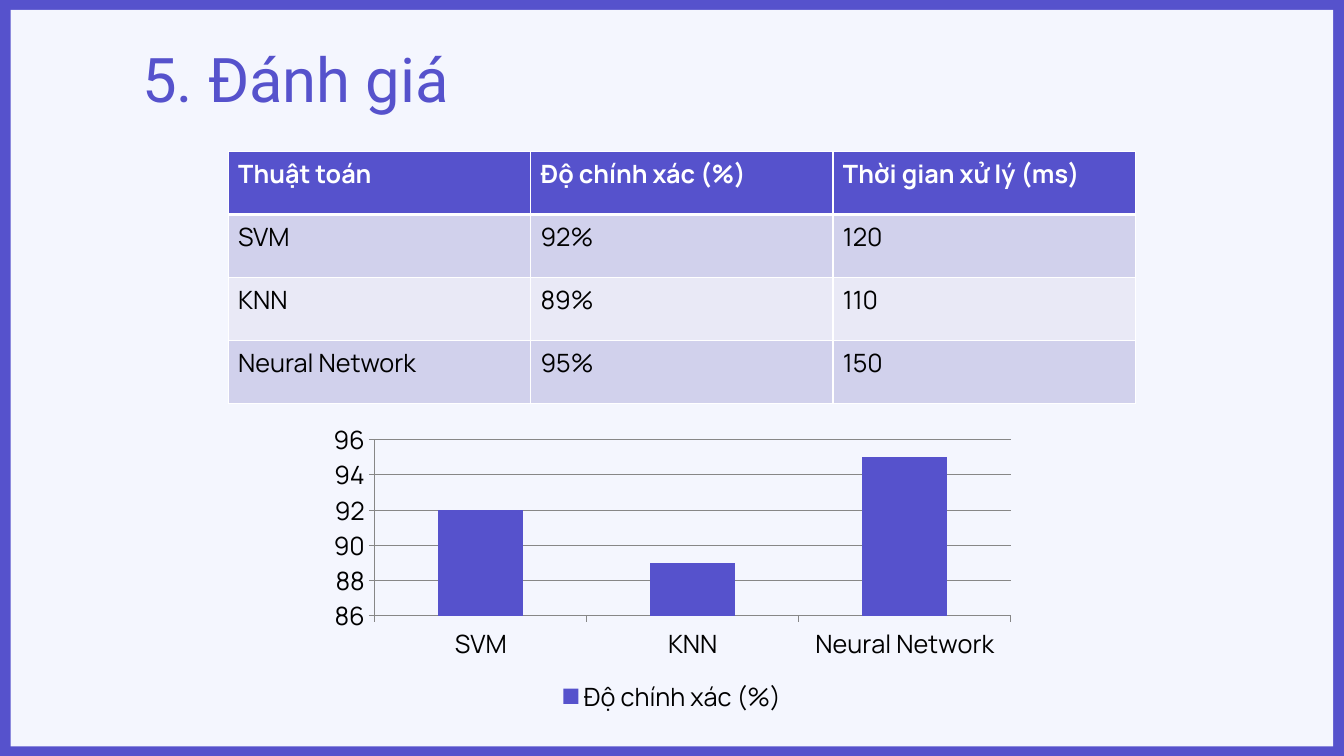
from dataclasses import dataclass

from lxml import etree
from pptx import Presentation
from pptx.chart.data import CategoryChartData
from pptx.dml.color import RGBColor
from pptx.enum.chart import XL_CHART_TYPE, XL_LEGEND_POSITION, XL_TICK_MARK
from pptx.enum.shapes import MSO_SHAPE
from pptx.oxml.ns import qn
from pptx.util import Cm, Pt

RECT = MSO_SHAPE.RECTANGLE
COLUMNS = XL_CHART_TYPE.COLUMN_CLUSTERED
BOTTOM = XL_LEGEND_POSITION.BOTTOM
TICK_OUT = XL_TICK_MARK.OUTSIDE


@dataclass(frozen=True)
class Theme:
    accent: str = "5652CC"
    paper: str = "F4F6FE"
    white: str = "FFFFFF"
    black: str = "000000"
    band_dark: str = "D1D1EC"
    band_light: str = "E9E9F6"
    grid: str = "878787"
    title_font: str = "Roboto"
    body_font: str = "Manrope"
    title_size: int = 44
    body_size: int = 18


THEME = Theme()
WIDTH, HEIGHT = 33.87, 19.05
HEADER = ["Thuật toán", "Độ chính xác (%)", "Thời gian xử lý (ms)"]
RESULTS = [("SVM", 92, 120), ("KNN", 89, 110), ("Neural Network", 95, 150)]


def rgb(color):
    return RGBColor.from_string(color)


def style_font(font, name, size, color, bold=False):
    font.name = name
    font.size = Pt(size)
    font.bold = bold
    font.color.rgb = rgb(color)


def style_body(font, color=THEME.black, bold=False):
    style_font(font, THEME.body_font, THEME.body_size, color, bold)


def add_panel(s, x, y, w, h, color):
    sp = s.shapes.add_shape(RECT, Cm(x), Cm(y), Cm(w), Cm(h))
    sp.shadow.inherit = False
    sp.fill.solid()
    sp.fill.fore_color.rgb = rgb(color)
    sp.line.fill.background()


def add_title(s, text, x, y, w, h):
    tf = s.shapes.add_textbox(Cm(x), Cm(y), Cm(w), Cm(h)).text_frame
    tf.word_wrap = True
    tf.text = text
    style_font(tf.paragraphs[0].runs[0].font, THEME.title_font,
               THEME.title_size, THEME.accent)


def set_borders(cell, bottom, top):
    tc_pr = cell._tc.get_or_add_tcPr()
    for side, width in (("L", 1), ("R", 1), ("T", top), ("B", bottom)):
        ln = etree.SubElement(tc_pr, qn(f"a:ln{side}"), w=str(Pt(width)))
        fill = etree.SubElement(ln, qn("a:solidFill"))
        etree.SubElement(fill, qn("a:srgbClr"), val=THEME.white)


def fill_cell(cell, text, row):
    header = row == 0
    set_borders(cell, bottom=3 if header else 1, top=3 if row == 1 else 1)
    band = THEME.band_dark if row % 2 else THEME.band_light
    cell.fill.solid()
    cell.fill.fore_color.rgb = rgb(THEME.accent if header else band)
    cell.text = text
    r = cell.text_frame.paragraphs[0].runs[0]
    style_body(r.font, THEME.white if header else THEME.black, header)


def add_results_table(s, rows, x, y, w, h):
    table = s.shapes.add_table(len(rows), len(rows[0]), Cm(x), Cm(y),
                               Cm(w), Cm(h)).table
    for i, row in enumerate(rows):
        for j, text in enumerate(row):
            fill_cell(table.cell(i, j), text, i)


def style_axis(axis):
    axis.major_tick_mark = TICK_OUT
    axis.format.line.color.rgb = rgb(THEME.grid)
    style_body(axis.tick_labels.font)


def add_accuracy_chart(s, x, y, w, h):
    data = CategoryChartData()
    data.categories = [name for name, _, _ in RESULTS]
    data.add_series(HEADER[1], [accuracy for _, accuracy, _ in RESULTS])
    chart = s.shapes.add_chart(COLUMNS, Cm(x), Cm(y), Cm(w), Cm(h), data).chart
    chart.has_title = False
    style_body(chart.font)

    chart.has_legend = True
    chart.legend.position = BOTTOM
    chart.legend.include_in_layout = False
    style_body(chart.legend.font)

    style_axis(chart.category_axis)
    axis = chart.value_axis
    style_axis(axis)
    axis.minimum_scale, axis.maximum_scale, axis.major_unit = 86, 96, 2
    axis.has_major_gridlines = True
    axis.major_gridlines.format.line.color.rgb = rgb(THEME.grid)

    plot = chart.plots[0]
    plot.gap_width = 150
    plot.vary_by_categories = False
    fill = plot.series[0].format.fill
    fill.solid()
    fill.fore_color.rgb = rgb(THEME.accent)


def main():
    prs = Presentation()
    prs.slide_width, prs.slide_height = Cm(WIDTH), Cm(HEIGHT)
    s = prs.slides.add_slide(prs.slide_layouts[6])
    add_panel(s, 0, 0, WIDTH, HEIGHT, THEME.accent)
    add_panel(s, 0.27, 0.25, 33.33, 18.56, THEME.paper)
    add_title(s, "5. Đánh giá", 3.33, 0.91, 16.21, 2.13)
    body = [(name, f"{accuracy}%", str(ms)) for name, accuracy, ms in RESULTS]
    add_results_table(s, [HEADER] + body, 5.75, 3.82, 22.86, 6.35)
    add_accuracy_chart(s, 8.05, 10.49, 17.78, 7.62)
    prs.save("out.pptx")


if __name__ == "__main__":
    main()
